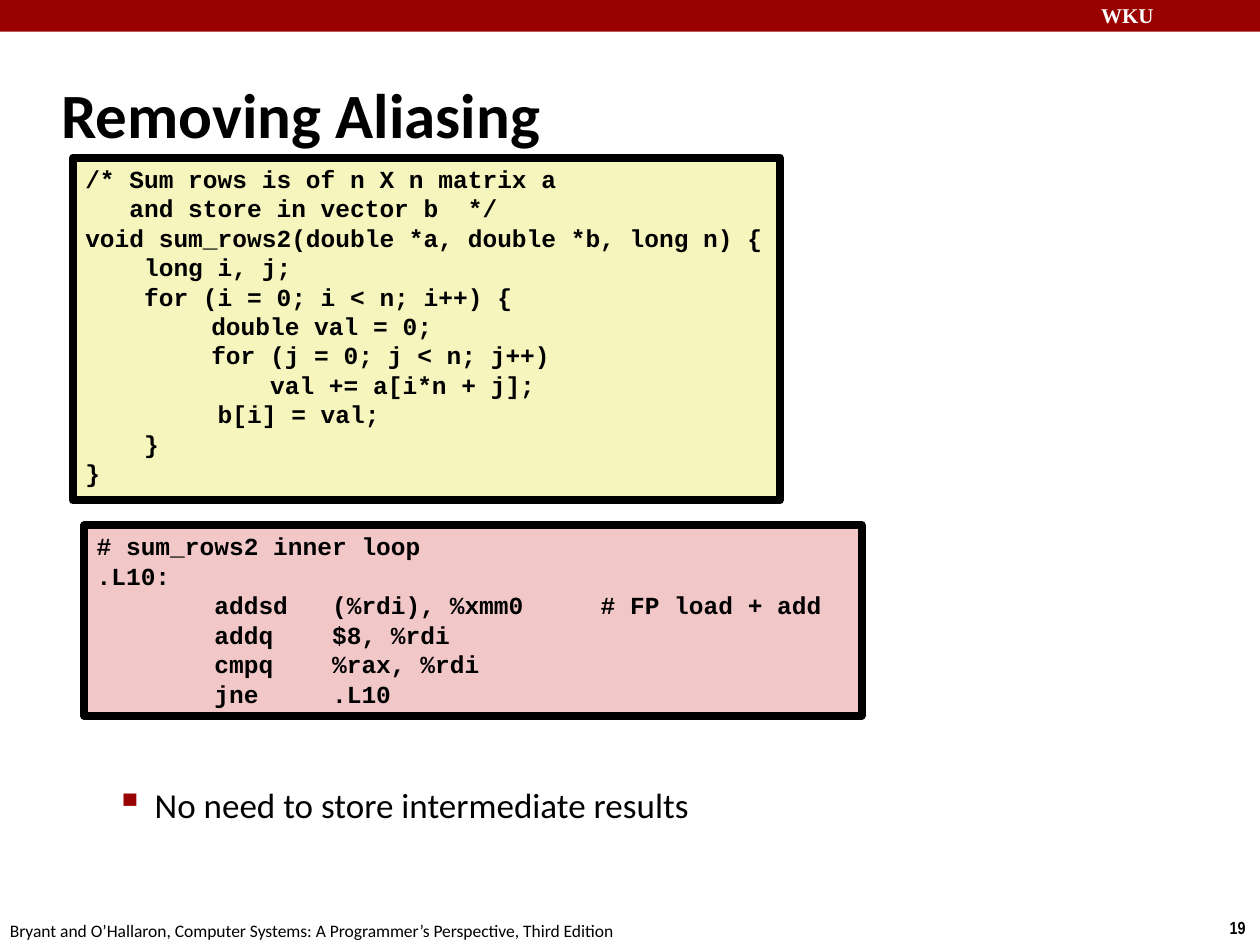
from lxml import etree
from pptx import Presentation
from pptx import util as u
from pptx.dml.color import RGBColor
from pptx.enum import shapes, text
from pptx.oxml import ns

# Places are left, top, width, height in centimetres.
BAR = (0, 0, 25.4, 0.64)
RED, BLACK, WHITE = "990000", "000000", "FFFFFF"

LABELS = [
    # text, place, font, size, bold, colour, anchor
    ("WKU", (21.95, -0.08, 3.63, 0.76), "Times New Roman", 12, True, WHITE, "TOP"),
    ("19", (24.54, 18.36, 0.86, 0.69), "Arial Narrow", 10, True, BLACK, "TOP"),
    ("Bryant and O’Hallaron, Computer Systems: A Programmer’s Perspective, Third Edition",
     (-0.05, 18.42, 12.9, 0.69), "Calibri", 10, False, BLACK, "TOP"),
    ("Removing Aliasing", (0.99, 1.22, 21.08, 2.11), "Calibri", 36, True, BLACK, "MIDDLE"),
]

POINT = "No need to store intermediate results"
POINT_PLACE = (0.81, 15.67, 23.09, 2.24)

ASSEMBLY = """\
# sum_rows2 inner loop
.L10:
        addsd   (%rdi), %xmm0\t# FP load + add
        addq    $8, %rdi
        cmpq    %rax, %rdi
        jne     .L10"""

C_CODE = """\
/* Sum rows is of n X n matrix a
   and store in vector b  */
void sum_rows2(double *a, double *b, long n) {
    long i, j;
    for (i = 0; i < n; i++) {
\tdouble val = 0;
\tfor (j = 0; j < n; j++)
\t    val += a[i*n + j];
         b[i] = val;
    }
}"""

LISTINGS = [
    # code, place, fill, tab stop
    (ASSEMBLY, (1.7, 10.59, 15.67, 3.84), "F1C7C7", 10.16),
    (C_CODE, (1.47, 3.18, 14.25, 6.91), "F6F5BD", 2.54),
]


def color(value):
    return RGBColor.from_string(value)


def lengths(place):
    return [u.Cm(value) for value in place]


def add_property(para, tag, **attributes):
    """Append a child element to the paragraph's properties."""
    properties = para._p.get_or_add_pPr()
    return etree.SubElement(properties, ns.qn(tag), attributes)


def add_span(para, words, font, size, bold, ink):
    span = para.add_run()
    span.text = words
    span.font.name = font
    span.font.size = u.Pt(size)
    span.font.bold = bold
    span.font.color.rgb = color(ink)


def add_box(page, place, anchor="TOP"):
    box = page.shapes.add_textbox(*lengths(place))
    box.text_frame.word_wrap = True
    box.text_frame.vertical_anchor = text.MSO_ANCHOR[anchor]
    return box


def add_rectangle(page, place, fill):
    box = page.shapes.add_shape(shapes.MSO_SHAPE.RECTANGLE, *lengths(place))
    box.shadow.inherit = False
    box.fill.solid()
    box.fill.fore_color.rgb = color(fill)
    box.line.fill.background()
    return box


def add_listing(page, code, place, fill, tab_stop):
    box = add_rectangle(page, place, fill)
    box.line.color.rgb = color(BLACK)
    box.line.width = u.Pt(4.5)
    frame = box.text_frame
    frame.word_wrap = True
    frame.vertical_anchor = text.MSO_ANCHOR.TOP
    for number, line in enumerate(code.split("\n")):
        para = frame.add_paragraph() if number else frame.paragraphs[0]
        tabs = add_property(para, "a:tabLst")
        etree.SubElement(tabs, ns.qn("a:tab"), pos=str(u.Cm(tab_stop)), algn="l")
        para.alignment = text.PP_ALIGN.LEFT
        para.line_spacing = u.Pt(16.8)
        add_span(para, line, "Courier New", 14, True, BLACK)


def add_point(page):
    para = add_box(page, POINT_PLACE).text_frame.paragraphs[0]
    properties = para._p.get_or_add_pPr()
    properties.set("marL", str(u.Cm(2.06)))
    properties.set("indent", str(u.Cm(-0.79)))
    bullet_color = add_property(para, "a:buClr")
    etree.SubElement(bullet_color, ns.qn("a:srgbClr"), val=RED)
    add_property(para, "a:buSzPct", val="110000")
    add_property(para, "a:buChar", char="▪")
    add_span(para, POINT, "Calibri", 20, False, BLACK)


def main():
    deck = Presentation()
    deck.slide_width, deck.slide_height = u.Cm(25.4), u.Cm(19.05)
    page = deck.slides.add_slide(deck.slide_layouts[6])
    add_rectangle(page, BAR, RED)
    for words, place, font, size, bold, ink, anchor in LABELS:
        box = add_box(page, place, anchor)
        add_span(box.text_frame.paragraphs[0], words, font, size, bold, ink)
    add_point(page)
    for listing in LISTINGS:
        add_listing(page, *listing)
    deck.save("out.pptx")


if __name__ == "__main__":
    main()
